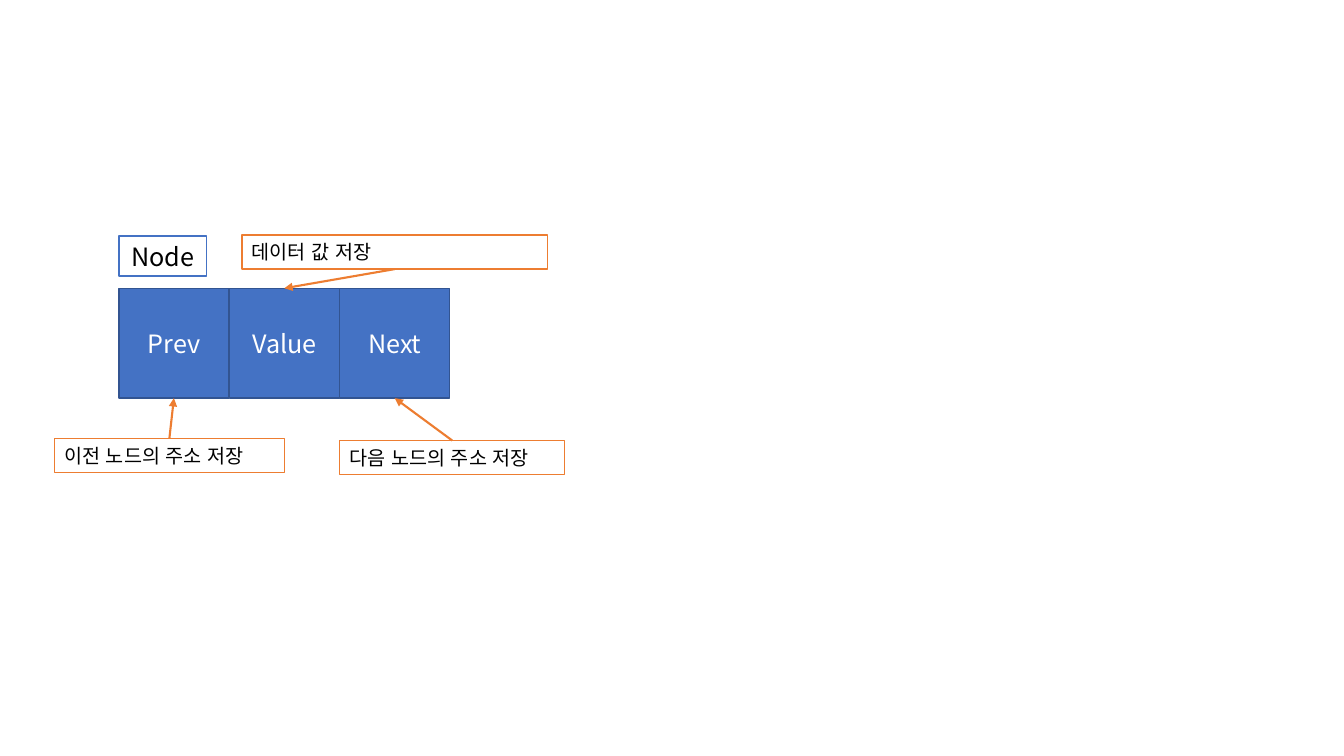
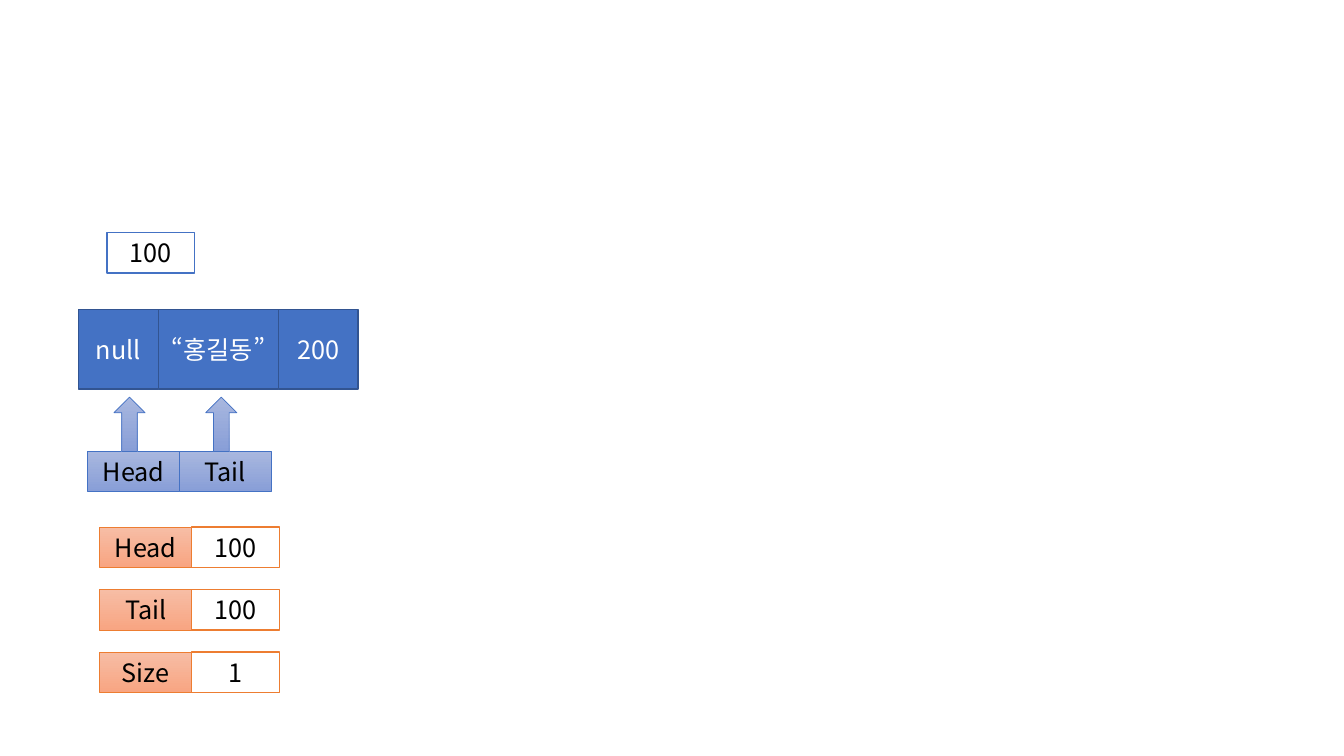
from pptx import Presentation
from pptx.dml.color import RGBColor
from pptx.enum.dml import MSO_LINE
from pptx.enum.lang import MSO_LANGUAGE_ID
from pptx.enum.shapes import MSO_CONNECTOR, MSO_SHAPE
from pptx.enum.text import MSO_ANCHOR, MSO_AUTO_SIZE, PP_ALIGN
from pptx.oxml.ns import qn
from pptx.util import Inches, Pt
from lxml import etree

RECT, UP_ARROW = MSO_SHAPE.RECTANGLE, MSO_SHAPE.UP_ARROW
LEFT, CENTER = PP_ALIGN.LEFT, PP_ALIGN.CENTER
TOP, MIDDLE = MSO_ANCHOR.TOP, MSO_ANCHOR.MIDDLE
FIT = MSO_AUTO_SIZE.SHAPE_TO_FIT_TEXT
STRAIGHT, SOLID = MSO_CONNECTOR.STRAIGHT, MSO_LINE.SOLID
KOREAN = MSO_LANGUAGE_ID.KOREAN

FONT = "Noto Sans CJK KR"
BLUE, NAVY, ORANGE = "4472C4", "325491", "ED7D31"
WHITE, BLACK = "FFFFFF", "000000"

# Styles: fill colours (two make a gradient), line colour, line width, text colour
NODE = ([BLUE], NAVY, 1, WHITE)
BLUE_BOX = ([WHITE], BLUE, 1, BLACK)
ORANGE_BOX = ([WHITE], ORANGE, 1, BLACK)
BLUE_SHADE = (["A8B7DF", "889ED7"], BLUE, 0.5, BLACK)
ORANGE_SHADE = (["F7BDA5", "F8A582"], ORANGE, 0.5, BLACK)


def rgb(color):
    return RGBColor.from_string(color)


def add_box(s, x, y, w, h, style, text="", size=18, align=CENTER, kind=RECT):
    fills, line, width, color = style
    sp = s.shapes.add_shape(kind, Inches(x), Inches(y), Inches(w), Inches(h))
    sp.shadow.inherit = False
    if len(fills) == 1:
        sp.fill.solid()
        sp.fill.fore_color.rgb = rgb(fills[0])
    else:
        sp.fill.gradient()
        sp.fill.gradient_angle = 270
        for stop, fill in zip(sp.fill.gradient_stops, fills):
            stop.color.rgb = rgb(fill)
    sp.line.color.rgb = rgb(line)
    sp.line.width = Pt(width)
    if text:
        tf = sp.text_frame
        tf.word_wrap = True
        if style is NODE:
            tf.vertical_anchor = MIDDLE
        else:
            tf.vertical_anchor = TOP
            tf.auto_size = FIT
        p = tf.paragraphs[0]
        p.text = text
        p.alignment = align
        p.font.name = FONT
        p.font.size = Pt(size)
        p.font.color.rgb = rgb(color)
        p.font.language_id = KOREAN
        # Korean glyphs take the East Asian typeface
        latin = p._p.pPr.find(qn("a:defRPr")).find(qn("a:latin"))
        ea = etree.Element(qn("a:ea"), typeface=FONT)
        latin.addnext(ea)
    return sp


prs = Presentation()
prs.slide_width, prs.slide_height = Inches(13.33), Inches(7.5)
blank = prs.slide_layouts[6]

# Slide 1: the fields of a node
s = prs.slides.add_slide(blank)
side = 1.09
fields = [add_box(s, 1.18 + i * 1.095, 2.86, side, side, NODE, text)
          for i, text in enumerate(["Prev", "Value", "Next"])]
add_box(s, 1.18, 2.34, 0.87, 0.4, BLUE_BOX, "Node")

# Labels, each with an arrow to its field (sites: 0 is top, 2 is bottom)
for field, text, x, y, w, start, end in [
    (fields[0], "이전 노드의 주소 저장", 0.54, 4.35, 2.28, 0, 2),
    (fields[2], "다음 노드의 주소 저장", 3.37, 4.37, 2.23, 0, 2),
    (fields[1], "데이터 값 저장", 2.4, 2.33, 3.03, 2, 0),
]:
    label = add_box(s, x, y, w, 0.34, ORANGE_BOX, text, 14, LEFT)
    arrow = s.shapes.add_connector(STRAIGHT, 0, 0, 0, 0)
    arrow.begin_connect(label, start)
    arrow.end_connect(field, end)
    arrow.line.color.rgb = rgb(ORANGE)
    arrow.line.width = Pt(1.5)
    arrow.line.dash_style = SOLID
    etree.SubElement(arrow.line._get_or_add_ln(), qn("a:tailEnd"), type="triangle")
    etree.SubElement(arrow._element.spPr, qn("a:effectLst"))

# Slide 2: a list with one node
s = prs.slides.add_slide(blank)
x = 0.78
for text, w in [("null", 0.79), ("“홍길동”", 1.19), ("200", 0.79)]:
    add_box(s, x, 3.07, w, 0.79, NODE, text)
    x += w
add_box(s, 1.06, 2.31, 0.87, 0.4, BLUE_BOX, "100")

# Pointers to the node
for i, text in enumerate(["Head", "Tail"]):
    x = 0.87 + i * 0.91
    add_box(s, x, 4.48, 0.91, 0.4, BLUE_SHADE, text)
    add_box(s, x + 0.26, 3.94, 0.31, 0.54, BLUE_SHADE, kind=UP_ARROW)

# Fields of the list
for i, (name, value) in enumerate([("Head", "100"), ("Tail", "100"), ("Size", "1")]):
    y = 5.23 + i * 0.62
    add_box(s, 1.9, y, 0.87, 0.4, ORANGE_BOX, value)
    add_box(s, 0.99, y, 0.91, 0.4, ORANGE_SHADE, name)

prs.save("out.pptx")
